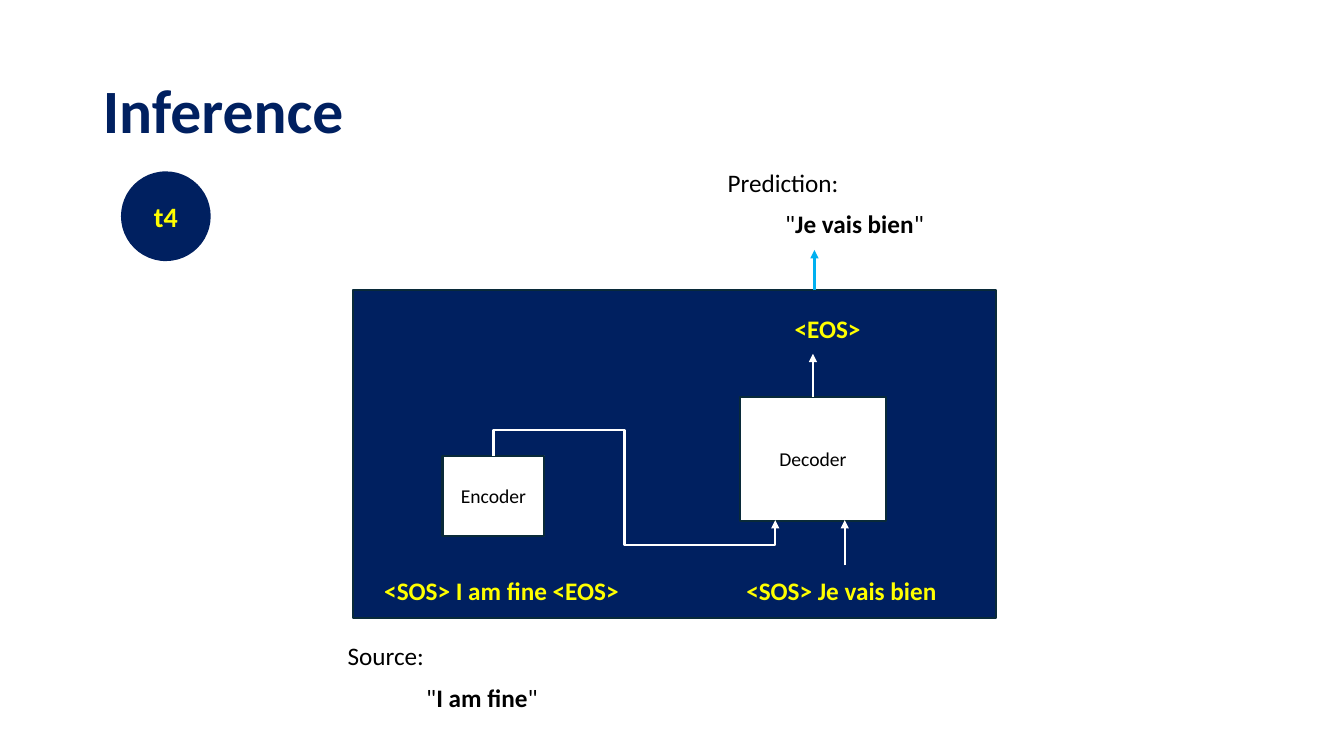
from lxml.etree import SubElement
from pptx import Presentation
from pptx.dml.color import RGBColor
from pptx.enum.shapes import MSO_CONNECTOR as Link, MSO_SHAPE as Form
from pptx.enum.text import MSO_ANCHOR as Anchor, MSO_AUTO_SIZE as Fit, PP_ALIGN as Align
from pptx.oxml.ns import qn
from pptx.util import Inches, Pt

NAVY, EDGE, WHITE, BLACK = "002060", "092A39", "FFFFFF", "000000"
YELLOW, SKY = "FFFF00", "00B0F0"

# Places are in grid cells of a tenth of an inch: left, top, width, height
CELL = Inches(0.1)
COLUMNS, ROWS = 133.33, 75
LABEL_HEIGHT = 4

TITLE = ("Inference", (9.2, 4, 115, 14.5))
STEP = ("t4", (12, 17, 8.9, 8.9))
MODEL = (35, 28.8, 63.8, 32.5)
ENCODER = ("Encoder", (43.9, 45.2, 10.1, 8))
DECODER = ("Decoder", (73.4, 39.4, 14.5, 12.3))

# Token strings inside the model: text, left, top, width
TOKENS = [
    ("<SOS> I am fine <EOS>", 33.8, 56.6, 31.9),
    ("<SOS> Je vais bien ", 70.7, 56.6, 26.1),
    ("<EOS>", 76.3, 30.6, 11.6),
]
# Captions outside the model: (text, bold) parts, left, top, width
CAPTIONS = [
    ([("Source:", False)], 33.5, 63, 15.4),
    ([('"', False), ("I am fine", True), ('"', False)], 41.3, 67.2, 14.5),
    ([("Prediction:", False)], 71.2, 16.1, 15.4),
    ([('"', False), ("Je vais bien", True), ('"', False)], 76.9, 20.2, 19.3),
]
# Vertical arrows: column, start row, end row, colour
TARGET_IN = (83.8, 56.1, 51.6, WHITE)
TOKEN_OUT = (80.65, 39.4, 35.1, WHITE)
PREDICTION_OUT = (80.8, 28.8, 24.8, SKY)
# Encoder output: the elbow's bends as thousandths of a percent of its span
ELBOW_START, ELBOW_END = (48.95, 45.2), (76.9, 51.6)
ELBOW_BENDS = (-39100, 46500, 139100)


def cells(*lengths):
    return [int(length * CELL) for length in lengths]


def color(value):
    return RGBColor.from_string(value)


def write(frame, parts, size, ink, align=Align.LEFT):
    """Fill the frame's only paragraph with (text, bold) parts."""
    paragraph = frame.paragraphs[0]
    paragraph.alignment = align
    for text, bold in parts:
        run = paragraph.add_run()
        run.text = text
        style = {"name": "Calibri", "size": Pt(size), "bold": bold}
        for key, value in style.items():
            setattr(run.font, key, value)
        run.font.color.rgb = color(ink)


def add_block(form, place, fill, edge=None):
    block = slide.shapes.add_shape(form, *cells(*place))
    block.shadow.inherit = False
    block.fill.solid()
    block.fill.fore_color.rgb = color(fill)
    if edge:
        block.line.color.rgb = color(edge)
        block.line.width = Pt(1.5)
    else:
        block.line.fill.background()
    block.text_frame.vertical_anchor = Anchor.MIDDLE
    return block


def add_unit(text, place):
    unit = add_block(Form.RECTANGLE, place, WHITE, EDGE)
    write(unit.text_frame, [(text, False)], 14, BLACK, Align.CENTER)
    return unit


def add_label(parts, left, top, width, ink, align=Align.LEFT):
    box = slide.shapes.add_textbox(*cells(left, top, width, LABEL_HEIGHT))
    box.text_frame.word_wrap = True
    box.text_frame.auto_size = Fit.SHAPE_TO_FIT_TEXT
    write(box.text_frame, parts, 18, ink, align)


def add_arrow(kind, start, end, ink):
    arrow = slide.shapes.add_connector(kind, *cells(*start, *end))
    arrow.line.color.rgb = color(ink)
    arrow.line.width = Pt(1.5)
    SubElement(arrow.line._get_or_add_ln(), qn("a:tailEnd"), type="triangle")
    SubElement(arrow._element.spPr, qn("a:effectLst"))
    return arrow


def add_vertical(column, start, end, ink):
    return add_arrow(Link.STRAIGHT, (column, start), (column, end), ink)


def add_elbow(start, end, bends, ink):
    """Add a five-part elbow that leaves upwards, by a quarter turn of its frame."""
    (x1, y1), (x2, y2) = start, end
    middle_x, middle_y = (x1 + x2) / 2, (y1 + y2) / 2
    half_wide, half_high = (y2 - y1) / 2, (x2 - x1) / 2
    elbow = add_arrow(Link.ELBOW, (middle_x + half_wide, middle_y - half_high),
                      (middle_x - half_wide, middle_y + half_high), ink)
    properties = elbow._element.spPr
    properties.find(qn("a:xfrm")).set("rot", str(270 * 60000))
    geometry = properties.find(qn("a:prstGeom"))
    geometry.set("prst", "bentConnector5")
    guides = geometry.find(qn("a:avLst"))
    if guides is None:
        guides = SubElement(geometry, qn("a:avLst"))
    for number, bend in enumerate(bends, 1):
        SubElement(guides, qn("a:gd"), name=f"adj{number}", fmla=f"val {bend}")


deck = Presentation()
deck.slide_width, deck.slide_height = cells(COLUMNS, ROWS)
slide = deck.slides.add_slide(deck.slide_layouts[5])

heading, place = TITLE
title = slide.shapes.title
title.left, title.top, title.width, title.height = cells(*place)
title.text_frame.vertical_anchor = Anchor.MIDDLE
write(title.text_frame, [(heading, True)], 44, NAVY)
title.text_frame.paragraphs[0].line_spacing = 0.9

name, place = STEP
step = add_block(Form.OVAL, place, NAVY)
write(step.text_frame, [(name, True)], 20, YELLOW, Align.CENTER)

model = add_block(Form.ROUNDED_RECTANGLE, MODEL, NAVY, EDGE)
model.adjustments[0] = 0
add_unit(*ENCODER)
decoder = add_unit(*DECODER)

for text, *spot in TOKENS:
    add_label([(text, True)], *spot, YELLOW, Align.CENTER)
for parts, *spot in CAPTIONS:
    add_label(parts, *spot, BLACK)

add_vertical(*TARGET_IN)
add_vertical(*TOKEN_OUT).begin_connect(decoder, 0)
add_vertical(*PREDICTION_OUT)
add_elbow(ELBOW_START, ELBOW_END, ELBOW_BENDS, WHITE)

deck.save("out.pptx")
